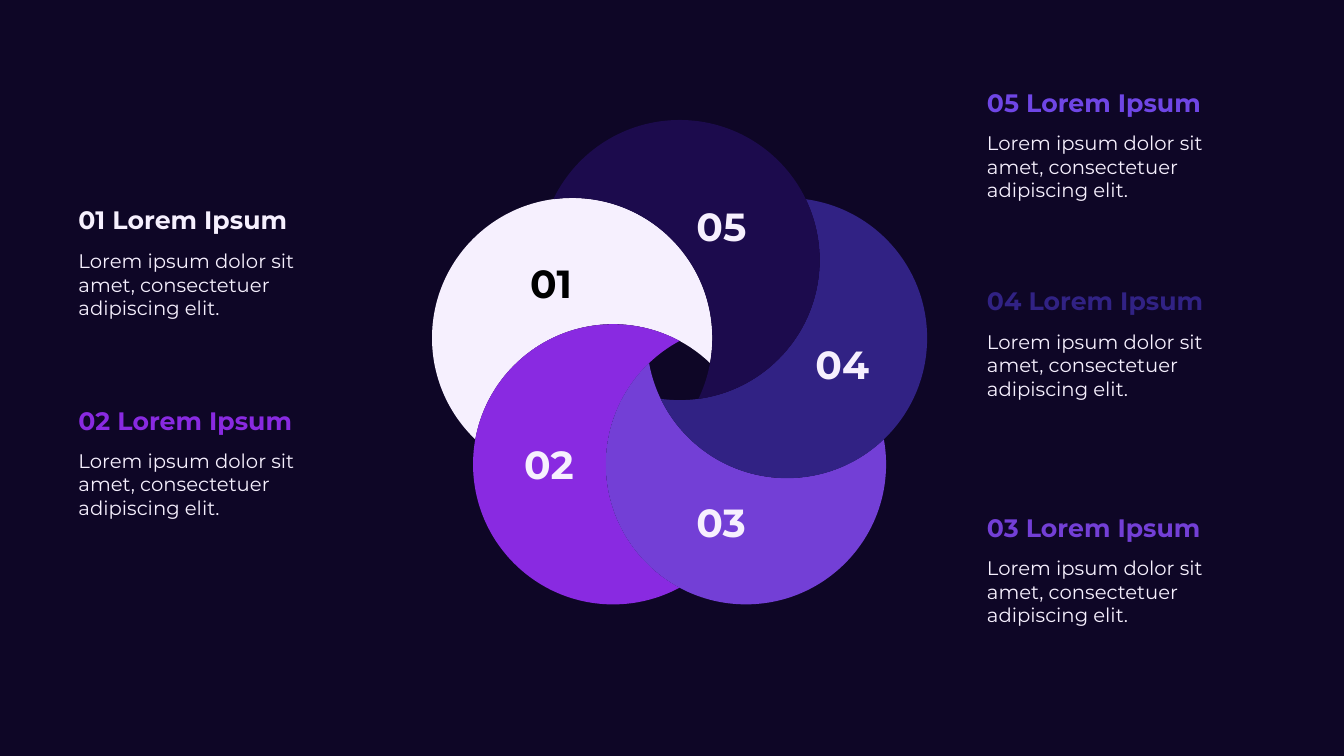
import math
from dataclasses import dataclass

from lxml import etree
from pptx import Presentation
from pptx import util as u
from pptx.dml.color import RGBColor
from pptx.enum import text as t
from pptx.oxml import ns

NIGHT = RGBColor(0x0E, 0x06, 0x26)
BLACK = RGBColor(0x00, 0x00, 0x00)
LILAC = RGBColor(0xF6, 0xF0, 0xFE)
VIOLET = RGBColor(0x89, 0x2A, 0xE1)
PURPLE = RGBColor(0x73, 0x3F, 0xD6)
INDIGO = RGBColor(0x31, 0x22, 0x84)
MIDNIGHT = RGBColor(0x1C, 0x0B, 0x4D)
IRIS = RGBColor(0x6F, 0x46, 0xE5)

FONT = "Montserrat"
DESCRIPTION = "Lorem ipsum dolor sit amet, consectetuer adipiscing elit."
FLOWER_X, FLOWER_Y = 6.74, 3.7
RING, RADIUS = 1.12, 1.39
STEP = 72
LEFT_COLUMN, RIGHT_COLUMN = 0.68, 9.69

Point = tuple[float, float]


@dataclass(frozen=True)
class Petal:
    order: int
    fill: RGBColor
    number_color: RGBColor
    number_x: float
    number_y: float
    number_width: float
    heading_color: RGBColor
    column: float
    heading_y: float
    description_y: float

    @property
    def number(self) -> str:
        return f"{self.order:02d}"


PETALS = [
    Petal(1, LILAC, BLACK, 5.16, 2.52, 0.78, LILAC, LEFT_COLUMN, 1.98, 2.42),
    Petal(2, VIOLET, LILAC, 5.1, 4.32, 0.78, VIOLET, LEFT_COLUMN, 3.97, 4.4),
    Petal(3, PURPLE, LILAC, 6.81, 4.89, 0.73, PURPLE, RIGHT_COLUMN, 5.03, 5.47),
    Petal(4, INDIGO, LILAC, 7.99, 3.33, 0.8, INDIGO, RIGHT_COLUMN, 2.78, 3.22),
    Petal(5, MIDNIGHT, LILAC, 6.81, 1.96, 0.73, IRIS, RIGHT_COLUMN, 0.82, 1.25),
]


def polar(x: float, y: float, radius: float, degrees: float) -> Point:
    angle = math.radians(degrees)
    return x + radius * math.cos(angle), y + radius * math.sin(angle)


def arc_curves(circle: float, start: float, end: float) -> list[Point]:
    center = polar(FLOWER_X, FLOWER_Y, RING, circle)
    low, high = sorted((start, end))
    quarters = range(math.ceil(low / 90) * 90, math.ceil(high / 90) * 90, 90)
    stops = sorted({low, *quarters, high}, reverse=start > end)
    points = []
    for a, b in zip(stops, stops[1:]):
        handle = RADIUS * 4 / 3 * math.tan(math.radians(b - a) / 4)
        points += [polar(*polar(*center, RADIUS, a), handle, a + 90),
                   polar(*polar(*center, RADIUS, b), handle, b - 90),
                   polar(*center, RADIUS, b)]
    return points


def petal_curves(order: int) -> list[Point]:
    circle = -90 - STEP * order
    axis = circle - STEP / 2
    tip = math.degrees(math.asin(RING * math.sin(math.radians(STEP / 2)) / RADIUS))
    return (arc_curves(circle, axis - tip, axis + 180 + tip)
            + arc_curves(circle - STEP, axis + 180 - tip, axis + tip))


def bend_lines(blade) -> None:
    for outline in blade.element.iter(ns.qn("a:path")):
        lines = outline.findall(ns.qn("a:lnTo"))
        for first in range(0, len(lines), 3):
            curve = etree.Element(ns.qn("a:cubicBezTo"))
            lines[first].addprevious(curve)
            for line in lines[first:first + 3]:
                curve.append(line[0])
                outline.remove(line)


def add_label(shapes, words: str, left: float, top: float, width: float,
              height: float, size: int, color: RGBColor, bold: bool) -> None:
    box = shapes.add_textbox(*map(u.Inches, (left, top, width, height)))
    frame = box.text_frame
    frame.word_wrap = True
    frame.auto_size = t.MSO_AUTO_SIZE.SHAPE_TO_FIT_TEXT
    run = frame.paragraphs[0].add_run()
    run.text = words
    run.font.color.rgb = color
    for name, value in {"name": FONT, "size": u.Pt(size), "bold": bold}.items():
        setattr(run.font, name, value)


def add_petal(slide, petal: Petal) -> None:
    group = slide.shapes.add_group_shape()
    corners = [(u.Inches(x), u.Inches(y)) for x, y in petal_curves(petal.order)]
    builder = group.shapes.build_freeform(*corners[-1])
    builder.add_line_segments(corners, close=True)
    blade = builder.convert_to_shape()
    bend_lines(blade)
    blade.shadow.inherit = False
    blade.fill.solid()
    blade.fill.fore_color.rgb = petal.fill
    blade.line.fill.background()
    add_label(group.shapes, petal.number, petal.number_x, petal.number_y,
              petal.number_width, 0.57, 28, petal.number_color, True)


def add_caption(slide, petal: Petal) -> None:
    add_label(slide.shapes, f"{petal.number} Lorem Ipsum", petal.column,
              petal.heading_y, 2.55, 0.4, 18, petal.heading_color, True)
    add_label(slide.shapes, DESCRIPTION, petal.column, petal.description_y,
              2.95, 0.57, 14, LILAC, False)


def main() -> None:
    deck = Presentation()
    deck.slide_width, deck.slide_height = u.Inches(13.33), u.Inches(7.5)
    slide = deck.slides.add_slide(deck.slide_layouts[6])
    slide.background.fill.solid()
    slide.background.fill.fore_color.rgb = NIGHT
    for petal in PETALS:
        add_petal(slide, petal)
    for petal in PETALS:
        add_caption(slide, petal)
    deck.save("out.pptx")


if __name__ == "__main__":
    main()
